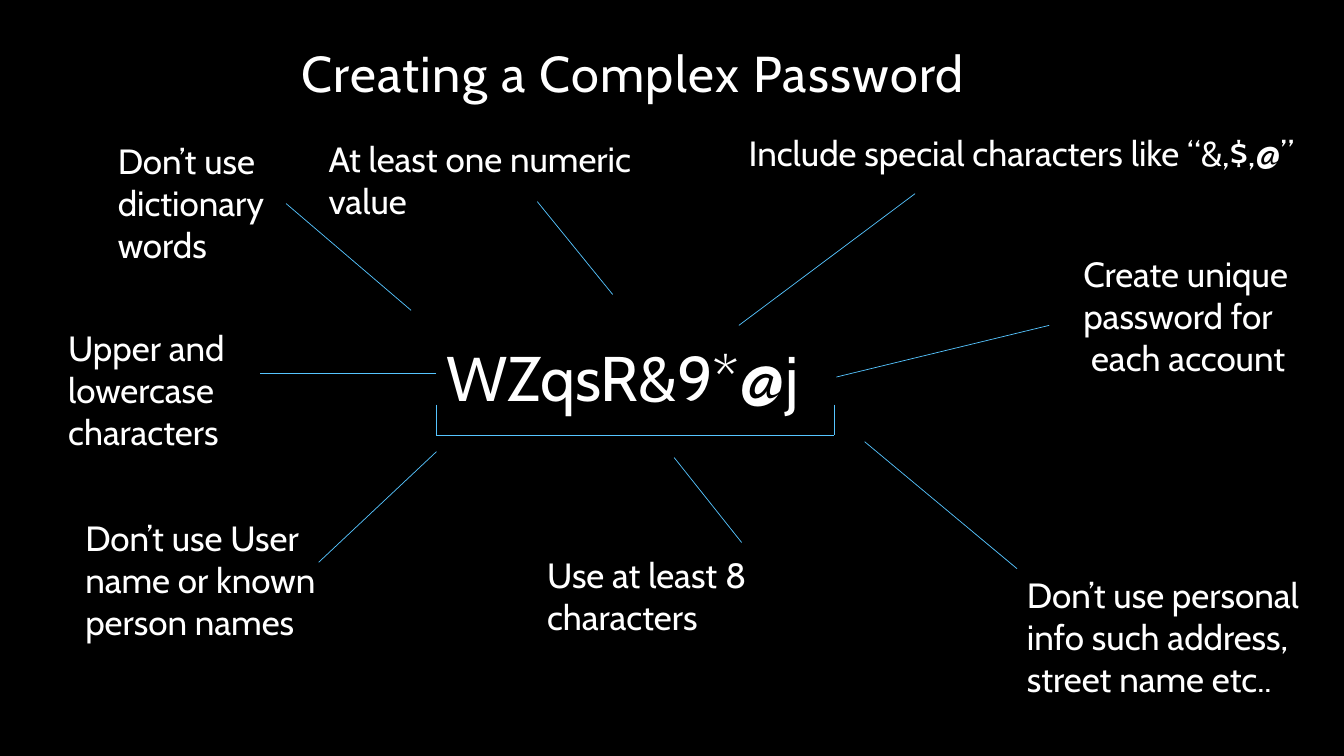
from pptx import Presentation
from pptx.dml.color import RGBColor
from pptx.enum.shapes import MSO_CONNECTOR as Connector
from pptx.enum.text import MSO_ANCHOR as Anchor, MSO_AUTO_SIZE as AutoSize, PP_ALIGN as Align
from pptx.oxml.ns import qn
from pptx.util import Cm, Pt
from lxml import etree

TITLE_ONLY = 5


def colour(value):
    return RGBColor.from_string(value)


class PasswordSlide:
    font_name = "Cabin"
    text_colour = "FFFFFF"
    line_colour = "56C5FF"
    background = "000000"

    def __init__(self, presentation):
        self.slide = presentation.slides.add_slide(presentation.slide_layouts[TITLE_ONLY])
        fill = self.slide.background.fill
        fill.solid()
        fill.fore_color.rgb = colour(self.background)

    def set_text(self, shape, text, size, **frame_format):
        frame = shape.text_frame
        frame.text = text
        for name, value in {"word_wrap": True, **frame_format}.items():
            setattr(frame, name, value)
        for paragraph in frame.paragraphs:
            paragraph.alignment = Align.LEFT
            font = paragraph.runs[0].font
            for name, value in {"name": self.font_name, "size": Pt(size), "bold": False}.items():
                setattr(font, name, value)
            font.color.rgb = colour(self.text_colour)

    def title(self, text, box, size):
        shape = self.slide.shapes.title
        for name, value in zip(("left", "top", "width", "height"), box):
            setattr(shape, name, Cm(value))
        self.set_text(shape, text, size, vertical_anchor=Anchor.BOTTOM, auto_size=AutoSize.NONE)
        paragraph = shape.text_frame.paragraphs[0]
        paragraph.line_spacing = 0.9
        paragraph.runs[0].font._element.set("spc", "100")

    def group(self):
        return self.slide.shapes.add_group_shape().shapes

    def label(self, shapes, text, box, size=25):
        shape = shapes.add_textbox(*map(Cm, box))
        self.set_text(shape, text, size, auto_size=AutoSize.SHAPE_TO_FIT_TEXT)

    def line(self, shapes, ends):
        connector = shapes.add_connector(Connector.STRAIGHT, *map(Cm, ends))
        connector.line.color.rgb = colour(self.line_colour)
        connector.line.width = Pt(0.5)
        etree.SubElement(connector._element.spPr, qn("a:effectLst"))

    def callout(self, text, box, ends):
        shapes = self.group()
        self.label(shapes, text, box)
        self.line(shapes, ends)


# Rule text, its box (left, top, width, height), its line (from x, y, to x, y), in cm
CALLOUTS = [
    ("Use at least 8 characters", (13.54, 13.82, 6.2, 2.39), (16.99, 11.53, 18.69, 13.67)),
    ("Include special characters like “&,$,@”", (18.62, 3.2, 14.6, 1.32),
     (18.62, 8.2, 23.06, 4.88)),
    ("At least one numeric value", (8.03, 3.35, 8.7, 2.39), (15.44, 7.42, 13.54, 5.08)),
    ("Upper and lowercase characters", (1.47, 8.1, 4.5, 3.45), (11, 9.4, 6.55, 9.4)),
    ("Don’t use dictionary words", (2.72, 3.4, 4.5, 3.45), (7.21, 5.13, 10.36, 7.82)),
    ("Don’t use User name or known person names", (1.9, 12.9, 7.62, 3.45),
     (11, 11.38, 8.03, 14.17)),
    ("Don’t use personal info such address, street name etc..", (25.63, 14.33, 7.62, 3.45),
     (21.79, 11.13, 25.63, 14.33)),
    ("Create unique password for\n each account", (27.05, 6.25, 5.9, 3.45),
     (21.08, 9.5, 26.44, 8.2)),
]


def main():
    presentation = Presentation()
    presentation.slide_width, presentation.slide_height = Cm(33.87), Cm(19.05)
    page = PasswordSlide(presentation)

    # Title and sample password
    page.title("Creating a Complex Password", (7.34, 0.84, 17.35, 1.9), 36)
    page.label(page.slide.shapes, "WZqsR&9*@j", (11, 8.41, 10.08, 2.18), 45)

    # Bracket under the password
    left, right, top, bottom = 11, 21.03, 10.2, 10.97
    bracket = page.group()
    page.line(bracket, (left, bottom, right, bottom))
    for side in (left, right):
        page.line(bracket, (side, top, side, bottom))

    # Rules around the password
    for text, box, ends in CALLOUTS:
        page.callout(text, box, ends)

    presentation.save("out.pptx")


if __name__ == "__main__":
    main()
